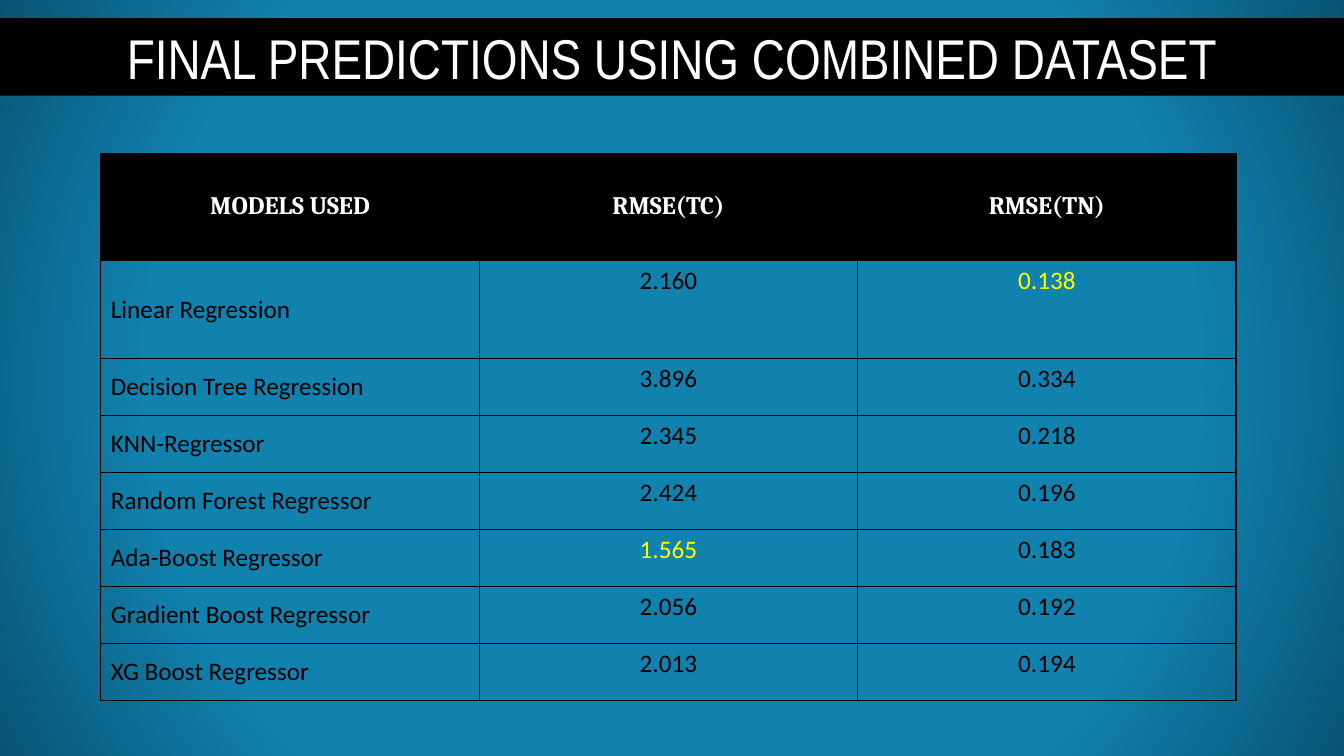
from lxml import etree
from pptx import Presentation
from pptx.dml.color import RGBColor
from pptx.enum.shapes import MSO_SHAPE as Shape
from pptx.enum.text import MSO_ANCHOR as Anchor, PP_ALIGN as Align
from pptx.oxml import parse_xml
from pptx.oxml.ns import nsdecls
from pptx.util import Inches, Pt

TITLE = "FINAL PREDICTIONS USING COMBINED DATASET"
HEADER = ("MODELS USED", "RMSE(TC)", "RMSE(TN)")
RESULTS = [
    ("Linear Regression", "2.160", "0.138"),
    ("Decision Tree Regression", "3.896", "0.334"),
    ("KNN-Regressor", "2.345", "0.218"),
    ("Random Forest Regressor", "2.424", "0.196"),
    ("Ada-Boost Regressor", "1.565", "0.183"),
    ("Gradient Boost Regressor", "2.056", "0.192"),
    ("XG Boost Regressor", "2.013", "0.194"),
]
COLORS = {
    "black": "000000",
    "white": "FFFFFF",
    "best": "FFFF00",
    "background": "1181AE",
    "edge": "095474",
}
SLIDE_WIDTH, SLIDE_HEIGHT = 13.33, 7.5
TABLE_LEFT, TABLE_TOP, TABLE_WIDTH, TABLE_HEIGHT = 1, 1.52, 11.26, 5.43
HEADER_HEIGHT, FIRST_ROW_HEIGHT = 1.06, 0.98
BORDER_WIDTH = 1


def color(name):
    return RGBColor.from_string(COLORS[name])


def write_text(frame, text, font="Calibri", size=18, fill="black", bold=False, align=Align.LEFT):
    paragraph = frame.paragraphs[0]
    paragraph.alignment = align
    run = paragraph.add_run()
    run.text = text
    run.font.name = font
    run.font.size = Pt(size)
    run.font.bold = bold
    run.font.color.rgb = color(fill)


def set_background(slide):
    """Fill the slide with a circular gradient that darkens toward the corners."""
    stops = "".join(
        f'<a:gs pos="{percent * 1000}"><a:srgbClr val="{COLORS[name]}"/></a:gs>'
        for percent, name in ((0, "background"), (68, "background"), (100, "edge"))
    )
    gradient = parse_xml(
        f'<a:gradFill {nsdecls("a")} rotWithShape="1"><a:gsLst>{stops}</a:gsLst>'
        '<a:path path="circle"><a:fillToRect l="50000" t="50000" r="50000" b="50000"/>'
        "</a:path></a:gradFill>"
    )
    slide.background.fill.solid()
    properties = slide.background._cSld.bg.bgPr
    properties.replace(properties[0], gradient)


def set_borders(cell):
    properties = cell._tc.get_or_add_tcPr()
    for index, side in enumerate(("lnL", "lnR", "lnT", "lnB")):
        line = parse_xml(
            f'<a:{side} {nsdecls("a")} w="{Pt(BORDER_WIDTH)}"><a:solidFill>'
            f'<a:srgbClr val="{COLORS["black"]}"/></a:solidFill></a:{side}>'
        )
        properties.insert(index, line)


def add_results_table(slide):
    rows = [HEADER, *RESULTS]
    table = slide.shapes.add_table(
        len(rows), len(HEADER),
        Inches(TABLE_LEFT), Inches(TABLE_TOP), Inches(TABLE_WIDTH), Inches(TABLE_HEIGHT),
    ).table
    table.horz_banding = False
    for column in table.columns:
        column.width = Inches(TABLE_WIDTH / len(HEADER))
    other_height = (TABLE_HEIGHT - HEADER_HEIGHT - FIRST_ROW_HEIGHT) / (len(rows) - 2)
    heights = [HEADER_HEIGHT, FIRST_ROW_HEIGHT] + [other_height] * (len(rows) - 2)
    best_scores = [min(scores, key=float) for scores in list(zip(*RESULTS))[1:]]

    for row_index, (values, height) in enumerate(zip(rows, heights)):
        table.rows[row_index].height = Inches(height)
        for column_index, text in enumerate(values):
            cell = table.cell(row_index, column_index)
            is_header, is_model = row_index == 0, column_index == 0
            cell.vertical_anchor = Anchor.MIDDLE if is_header or is_model else Anchor.TOP
            if is_header:
                cell.fill.solid()
                cell.fill.fore_color.rgb = color("black")
                write_text(cell.text_frame, text, font="Cambria", fill="white",
                           bold=True, align=Align.CENTER)
            else:
                cell.fill.background()
                is_best = not is_model and text == best_scores[column_index - 1]
                write_text(cell.text_frame, text, fill="best" if is_best else "black",
                           align=Align.LEFT if is_model else Align.CENTER)
            set_borders(cell)


def add_title(slide):
    banner = slide.shapes.add_shape(
        Shape.RECTANGLE, 0, Inches(0.18), Inches(SLIDE_WIDTH), Inches(0.77)
    )
    banner.shadow.inherit = False
    banner.fill.solid()
    banner.fill.fore_color.rgb = color("black")
    banner.line.fill.background()
    banner.text_frame.word_wrap = True
    banner.text_frame.vertical_anchor = Anchor.TOP
    write_text(banner.text_frame, TITLE, font="Arial Narrow", size=40,
               fill="white", align=Align.CENTER)


def main():
    presentation = Presentation()
    presentation.slide_width = Inches(SLIDE_WIDTH)
    presentation.slide_height = Inches(SLIDE_HEIGHT)
    slide = presentation.slides.add_slide(presentation.slide_layouts[6])
    set_background(slide)
    add_results_table(slide)
    add_title(slide)
    presentation.save("out.pptx")


if __name__ == "__main__":
    main()
